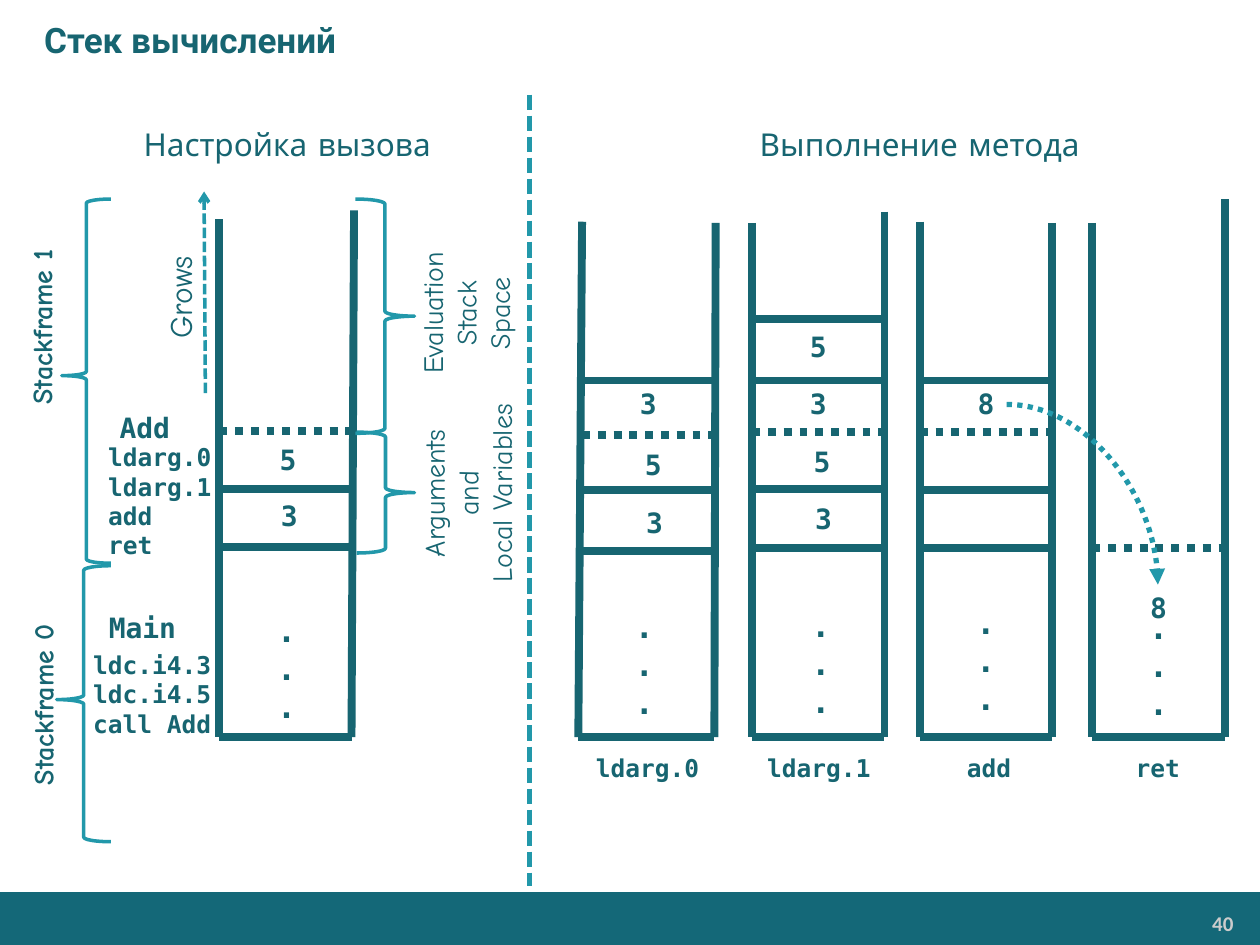
"""Build the evaluation stack slide: call setup on the left, method execution on the right."""
import pptx
import pptx.dml.color
import pptx.enum.dml
import pptx.enum.shapes
import pptx.enum.text
import pptx.oxml
import pptx.oxml.ns
import pptx.util

SCALE = 9144
COLORS = {"dark": "176571", "accent": "2298AA", "footer": "146878", "number": "CCCCCC"}
STYLES = {
    "title": ({"name": "Roboto", "size": pptx.util.Pt(20), "bold": True}, "dark"),
    "number": ({"name": "Calibri", "size": pptx.util.Pt(12), "bold": True}, "number"),
    "heading": ({"name": "Comic Neue", "size": pptx.util.Pt(18), "bold": False}, "dark"),
    "note": ({"name": "Comic Neue", "size": pptx.util.Pt(16), "bold": False}, "dark"),
    "frame": ({"name": "Comic Neue", "size": pptx.util.Pt(16), "bold": True}, "dark"),
    "value": ({"name": "DejaVu Sans Mono", "size": pptx.util.Pt(16), "bold": True}, "dark"),
    "code": ({"name": "DejaVu Sans Mono", "size": pptx.util.Pt(14), "bold": True}, "dark"),
    "dots": ({"name": "DejaVu Sans Mono", "size": pptx.util.Pt(18), "bold": True}, "dark"),
}
ALIGN = pptx.enum.text.PP_ALIGN
DASH = pptx.enum.dml.MSO_LINE
SHAPE = pptx.enum.shapes.MSO_SHAPE
CONNECTOR = pptx.enum.shapes.MSO_CONNECTOR

deck = pptx.Presentation()
deck.slide_width, deck.slide_height = 1000 * SCALE, 750 * SCALE
page = deck.slides.add_slide(deck.slide_layouts[5])


def write(box, place, lines, style, align=ALIGN.CENTER, indent=0, wrap=True):
    for name, length in zip(("left", "top", "width", "height"), place):
        setattr(box, name, length * SCALE)
    frame = box.text_frame
    frame.word_wrap = wrap
    frame.auto_size = pptx.enum.text.MSO_AUTO_SIZE.SHAPE_TO_FIT_TEXT
    frame.text = "\n".join(lines)
    font, color = STYLES[style]
    for para, line in zip(frame.paragraphs, lines):
        para.text = line
        para.alignment = align
        para._p.get_or_add_pPr().set("marL", str(indent * SCALE))
        para._p.get_or_add_pPr().set("indent", "0")
        for span in para.runs:
            for name, setting in font.items():
                setattr(span.font, name, setting)
            span.font.color.rgb = pptx.dml.color.RGBColor.from_string(COLORS[color])
    return box


def draw(start, end, color="dark", width=4.5, dash=None, head=None, kind=CONNECTOR.STRAIGHT):
    line = page.shapes.add_connector(kind, *(length * SCALE for length in start + end))
    line.line.color.rgb = pptx.dml.color.RGBColor.from_string(COLORS[color])
    line.line.width = pptx.util.Pt(width)
    if dash:
        line.line.dash_style = dash
    if head:
        tail = pptx.oxml.parse_xml(f'<a:tailEnd {pptx.oxml.ns.nsdecls("a")} type="{head}"/>')
        line.line._get_or_add_ln().append(tail)
    line._element.spPr.append(pptx.oxml.parse_xml(f'<a:effectLst {pptx.oxml.ns.nsdecls("a")}/>'))
    return line


footer = page.shapes.add_shape(SHAPE.RECTANGLE, 0, 708 * SCALE, 1001 * SCALE, 43 * SCALE)
footer.shadow.inherit = False
footer.fill.solid()
footer.fill.fore_color.rgb = pptx.dml.color.RGBColor.from_string(COLORS["footer"])
footer.line.fill.background()

number = write(page.shapes.add_textbox(0, 0, 0, 0), (823, 719, 163, 28), ["40"], "number", ALIGN.RIGHT)
for side, inset in {"left": 7, "top": 4, "right": 7, "bottom": 4}.items():
    setattr(number.text_frame, f"margin_{side}", inset * SCALE)

title = write(page.shapes.title, (0, 0, 1000, 63), ["Стек вычислений"], "title", ALIGN.LEFT, 25)
title.text_frame.auto_size = pptx.enum.text.MSO_AUTO_SIZE.NONE
title.text_frame.vertical_anchor = pptx.enum.text.MSO_ANCHOR.MIDDLE

draw((420, 75), (420, 703), "accent", 3, DASH.SQUARE_DOT)

FLOOR = 585
stacks = [
    ((174, 174), (174, 167), (281, 279), [388, 434], 342),
    ((462, 459), (176, 177), (568, 567), [302, 389, 437], 345),
    ((597, 597), (177, 168), (702, 702), [253, 302, 388, 435], 343),
    ((730, 730), (176, 177), (835, 835), [302, 389, 435], 343),
    ((867, 867), (177, 158), (972, 972), [], 435),
]
for left, tops, right, shelves, border in stacks:
    draw((left[1], FLOOR), (right[1], FLOOR))
    draw((right[0], tops[1]), (right[1], FLOOR))
    draw((left[0], border), (right[0], border), dash=DASH.ROUND_DOT)
    for shelf in shelves:
        draw((left[0], shelf), (right[0], shelf))
    draw((left[0], tops[0]), (left[1], FLOOR))

braces = [
    (SHAPE.LEFT_BRACE, (45, 449, 43, 219), 0.485),
    (SHAPE.LEFT_BRACE, (49, 158, 39, 289), 0.485),
    (SHAPE.RIGHT_BRACE, (283, 343, 46, 96), 0.5),
    (SHAPE.RIGHT_BRACE, (282, 158, 47, 186), 0.5),
]
for kind, place, middle in braces:
    brace = page.shapes.add_shape(kind, *(length * SCALE for length in place))
    brace.adjustments[1] = middle
    brace.shadow.inherit = False
    brace.fill.background()
    brace.line.color.rgb = pptx.dml.color.RGBColor.from_string(COLORS["accent"])
    brace.line.width = pptx.util.Pt(2)

draw((163, 312), (162, 152), "accent", 2, DASH.SQUARE_DOT, "arrow")

upright_notes = [
    ((-45, 241, 156, 37), ["Stackframe 1"], "frame", False),
    ((-44, 541, 156, 37), ["Stackframe 0"], "frame", False),
    ((306, 203, 128, 91), ["Evaluation", "Stack", "Space"], "note", True),
    ((287, 346, 169, 91), ["Arguments", "and", "Local Variables"], "note", False),
    ((98, 216, 89, 40), ["Grows"], "heading", False),
]
for place, lines, style, wrap in upright_notes:
    write(page.shapes.add_textbox(0, 0, 0, 0), place, lines, style, wrap=wrap).rotation = 270

cell_values = [
    (213, 391, "3"), (212, 346, "5"),
    (503, 396, "3"), (502, 350, "5"), (498, 302, "3"),
    (637, 393, "3"), (636, 348, "5"), (633, 302, "3"), (633, 257, "5"),
    (766, 302, "8"), (903, 464, "8"),
]
for left, top, value in cell_values:
    write(page.shapes.add_textbox(0, 0, 0, 0), (left, top, 32, 37), [value], "value", wrap=False)

for left, top in [(209, 480), (493, 477), (633, 476), (764, 474), (901, 478)]:
    write(page.shapes.add_textbox(0, 0, 0, 0), (left, top, 37, 101), ["."] * 3, "dots")

labels = [
    ((450, 593, 128, 34), "ldarg.0", "code"),
    ((586, 593, 128, 34), "ldarg.1", "code"),
    ((721, 593, 128, 34), "add", "code"),
    ((855, 593, 128, 34), "ret", "code"),
    ((49, 480, 128, 37), "Main", "value"),
    ((51, 321, 128, 37), "Add", "value"),
    ((83, 94, 290, 40), "Настройка вызова", "heading"),
    ((585, 94, 290, 40), "Выполнение метода", "heading"),
]
for place, label, style in labels:
    write(page.shapes.add_textbox(0, 0, 0, 0), place, [label], style)

listings = [
    ((15, 511, 200, 81), ["ldc.i4.3", "ldc.i4.5", "call Add"]),
    ((27, 346, 200, 104), ["ldarg.0", "ldarg.1", "add", "ret"]),
]
for place, lines in listings:
    write(page.shapes.add_textbox(0, 0, 0, 0), place, lines, "code", ALIGN.LEFT, 49)

result_arrow = draw((799, 321), (919, 464), "accent", 3, DASH.ROUND_DOT, "triangle", CONNECTOR.CURVE)
result_arrow._element.spPr.prstGeom.set("prst", "curvedConnector2")

deck.save("out.pptx")
